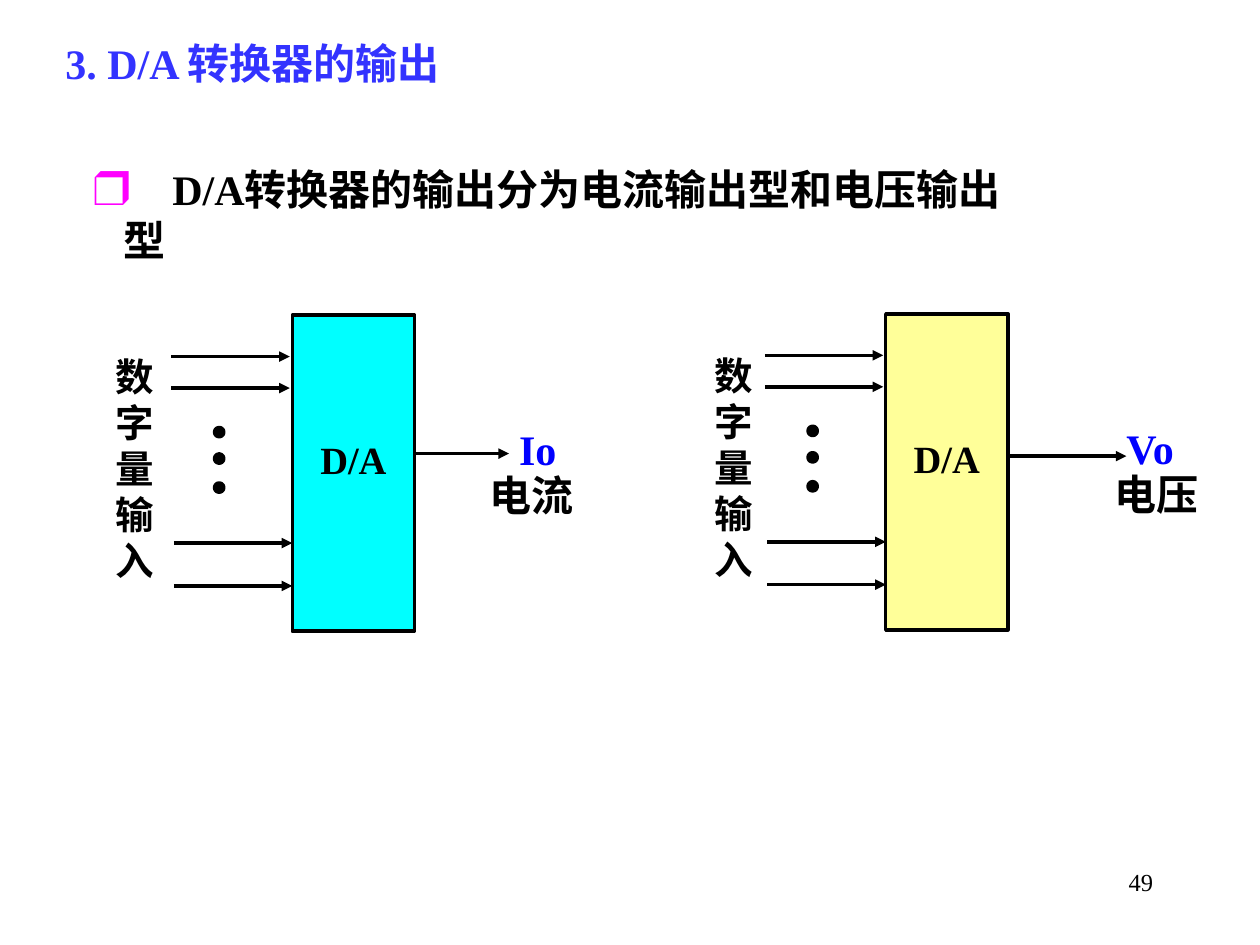
from lxml import etree
from pptx import Presentation
from pptx.dml.color import RGBColor
from pptx.enum.shapes import MSO_CONNECTOR, MSO_SHAPE
from pptx.enum.text import MSO_ANCHOR, PP_ALIGN
from pptx.oxml.ns import qn
from pptx.util import Inches, Pt

LEFT, CENTER, RIGHT = PP_ALIGN.LEFT, PP_ALIGN.CENTER, PP_ALIGN.RIGHT
TOP = MSO_ANCHOR.TOP
RECTANGLE, OVAL = MSO_SHAPE.RECTANGLE, MSO_SHAPE.OVAL
STRAIGHT = MSO_CONNECTOR.STRAIGHT

FONT = "Times New Roman"
COLORS = {"title": "3333FF", "bullet": "FF00FF", "ink": "000000", "signal": "0000FF",
          "current": "00FFFF", "voltage": "FFFF99"}

# Content
TITLE = "3. D/A 转换器的输出"
STATEMENT = "D/A转换器的输出分为电流输出型和电压输出型"
INPUT_LABEL = "数字量输入"
PAGE_NUMBER = "49"
CONVERTERS = [
    {"fill": "current", "left": 2.32, "top": 2.5, "label_left": 0.92, "output_y": 3.6,
     "output_end": 4.04, "signal": "Io", "signal_left": 4.12, "kind": "电流", "kind_left": 3.79},
    {"fill": "voltage", "left": 7.03, "top": 2.49, "label_left": 5.67, "output_y": 3.62,
     "output_end": 8.94, "signal": "Vo", "signal_left": 8.94, "kind": "电压", "kind_left": 8.75},
]

# Converter geometry, relative to the block's top left corner
BLOCK_WIDTH, BLOCK_HEIGHT = 0.97, 2.51
INPUT_LENGTH = 0.94
INPUT_ENDS = [(-0.02, 0.33), (-0.02, 0.58), (0, 1.81), (0, 2.15)]
DOT_LEFT, DOT_SIZE = -0.61, 0.06
DOT_TOPS = [0.9, 1.11, 1.34]

deck = Presentation()
deck.slide_width, deck.slide_height = Inches(10), Inches(7.5)
page = deck.slides.add_slide(deck.slide_layouts[6])


def color(name):
    return RGBColor.from_string(COLORS[name])


def write(shape, lines, size, ink="ink", bold=True, align=LEFT, insets=(0.1, 0.05)):
    frame = shape.text_frame
    frame.word_wrap = True
    frame.vertical_anchor = TOP
    frame.margin_left = frame.margin_right = Inches(insets[0])
    frame.margin_top = frame.margin_bottom = Inches(insets[1])
    frame.text = "\n".join(lines)
    for para in frame.paragraphs:
        para.alignment = align
        for span in para.runs:
            span.font.name = FONT
            span.font.size = Pt(size)
            span.font.bold = bold
            span.font.color.rgb = color(ink)
    return frame


def add_text(left, top, width, height, lines, size, **style):
    box = page.shapes.add_textbox(Inches(left), Inches(top), Inches(width), Inches(height))
    return write(box, lines, size, **style)


def add_solid(kind, left, top, width, height, fill, line_width):
    shape = page.shapes.add_shape(kind, Inches(left), Inches(top), Inches(width), Inches(height))
    shape.shadow.inherit = False
    shape.fill.solid()
    shape.fill.fore_color.rgb = color(fill)
    shape.line.color.rgb = color("ink")
    shape.line.width = Pt(line_width)
    return shape


def add_arrow(start, end, y):
    arrow = page.shapes.add_connector(STRAIGHT, Inches(start), Inches(y), Inches(end), Inches(y))
    arrow.line.color.rgb = color("ink")
    arrow.line.width = Pt(2)
    etree.SubElement(arrow.line._get_or_add_ln(), qn("a:tailEnd"), type="triangle")
    etree.SubElement(arrow._element.spPr, qn("a:effectLst"))


def add_bullet(para, character, ink, percent, margin, tab):
    properties = para._p.get_or_add_pPr()
    properties.set("marL", str(Inches(margin)))
    properties.set("indent", str(-Inches(margin)))
    bullet_color = etree.SubElement(properties, qn("a:buClr"))
    etree.SubElement(bullet_color, qn("a:srgbClr"), val=COLORS[ink])
    etree.SubElement(properties, qn("a:buSzPct"), val=str(percent * 1000))
    etree.SubElement(properties, qn("a:buFont"), typeface=FONT)
    etree.SubElement(properties, qn("a:buChar"), char=character)
    tabs = etree.SubElement(properties, qn("a:tabLst"))
    etree.SubElement(tabs, qn("a:tab"), pos=str(Inches(tab)), algn="l")


def add_converter(item):
    left, top = item["left"], item["top"]
    # Digital inputs
    add_text(item["label_left"], top + 0.3, 0.45, 2.2, INPUT_LABEL, 22, insets=(0, 0))
    for dx, dy in INPUT_ENDS:
        add_arrow(left + dx - INPUT_LENGTH, left + dx, top + dy)
    for dy in DOT_TOPS:
        add_solid(OVAL, left + DOT_LEFT, top + dy, DOT_SIZE, DOT_SIZE, "ink", 3)
    # Converter block
    block = add_solid(RECTANGLE, left, top, BLOCK_WIDTH, BLOCK_HEIGHT, item["fill"], 2)
    write(block, ["D/A"], 22, align=CENTER).margin_top = Inches(0.96)
    # Analog output
    add_arrow(left + BLOCK_WIDTH, item["output_end"], item["output_y"])
    add_text(item["signal_left"], top + 0.86, 0.51, 0.5, [item["signal"]], 24,
             ink="signal", insets=(0, 0))
    add_text(item["kind_left"], top + 1.18, 1, 0.5, [item["kind"]], 24)


# Title and statement
add_text(0.42, 0.25, 3.58, 0.5, [TITLE], 24, ink="title")
statement = add_text(0.64, 1.25, 7.6, 0.57, ["\t" + STATEMENT], 24)
add_bullet(statement.paragraphs[0], "❒", "bullet", 117, 0.24, 0.63)

# Converters
for converter in CONVERTERS:
    add_converter(converter)

# Page number
add_text(7.17, 6.83, 2.08, 0.5, [PAGE_NUMBER], 14, bold=False, align=RIGHT)

deck.save("out.pptx")
